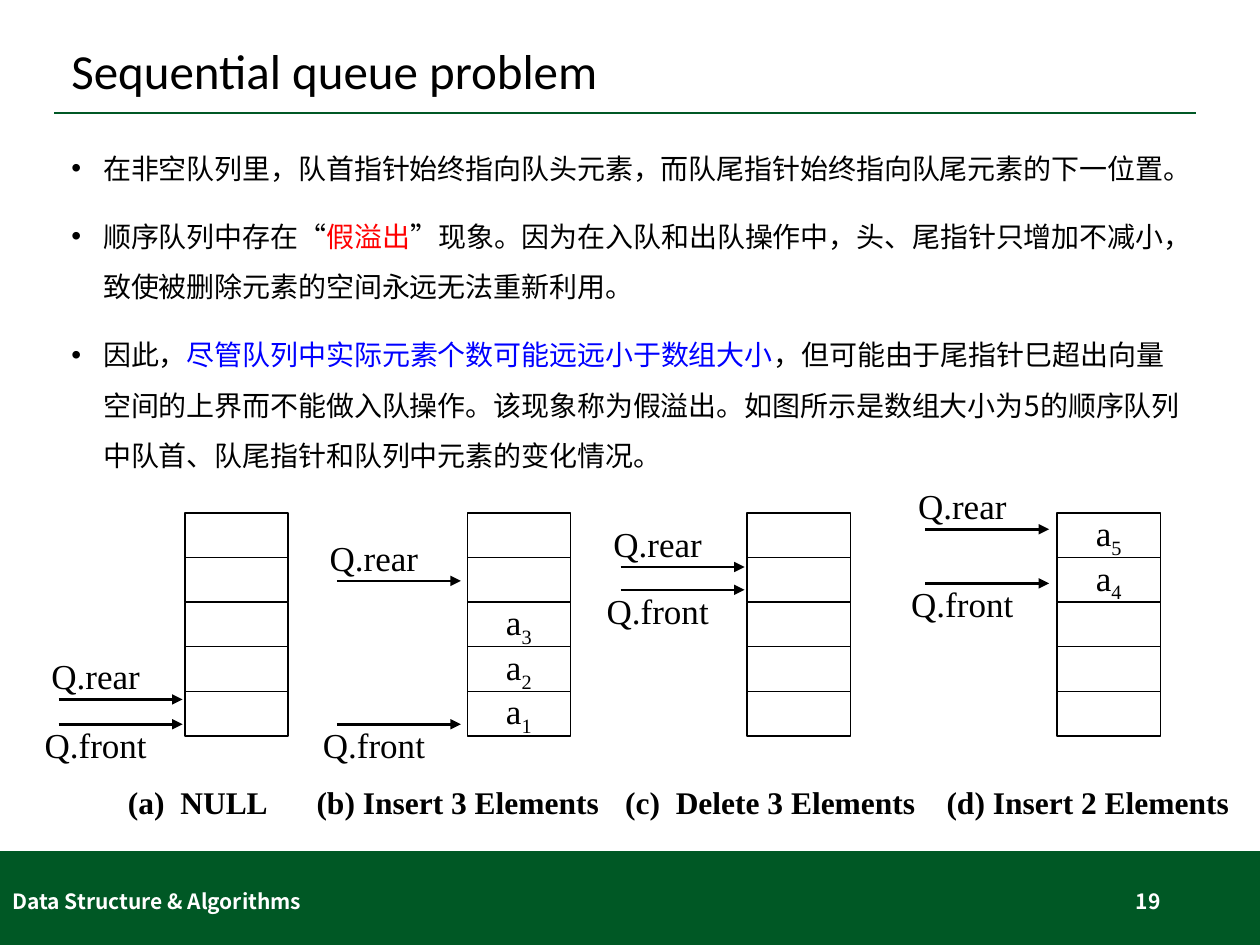
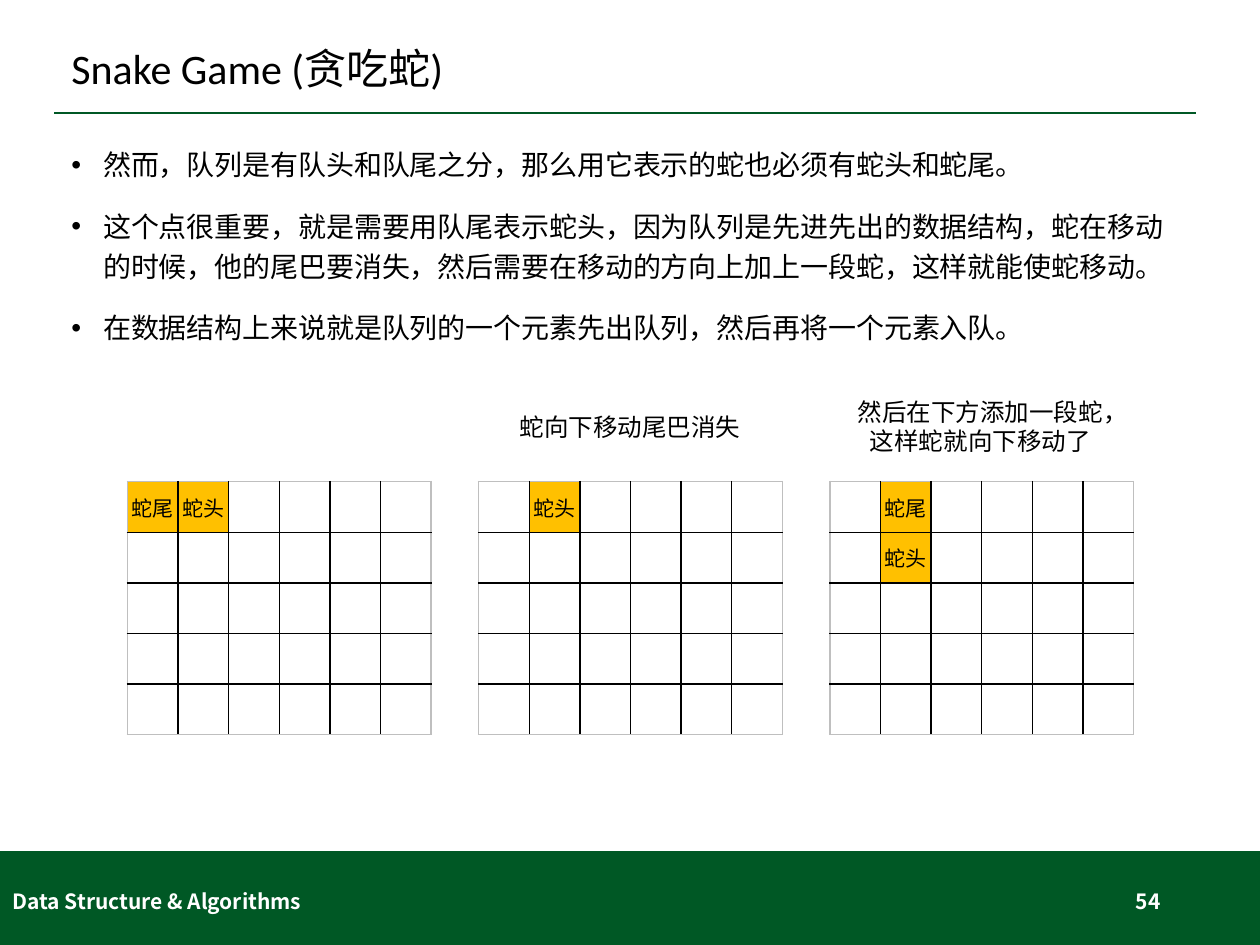
from lxml import etree
from pptx import Presentation
from pptx.dml.color import RGBColor
from pptx.enum import shapes, text
from pptx.oxml import ns
from pptx.util import Cm, Pt

GREEN, BLACK, WHITE = "005825", "000000", "FFFFFF"
RED, BLUE, GOLD, GREY = "FF0000", "0000FF", "FFC000", "BFBFBF"
SANS, LATIN, SERIF = "Noto Sans CJK SC", "Calibri", "Times New Roman"
LEFT, MID, RIGHT = text.PP_ALIGN.LEFT, text.PP_ALIGN.CENTER, text.PP_ALIGN.RIGHT
LEADING = 1.2  # height of a single line, in ems


def rgb(code):
    return RGBColor.from_string(code)


def sub(node, tag, **attrs):
    return etree.SubElement(node, ns.qn(tag), attrs)


def style(run, size, font=SANS, color=BLACK, bold=False):
    run.font.size, run.font.name, run.font.bold = Pt(size), font, bold
    run.font.color.rgb = rgb(color)
    sub(run.font._rPr, "a:ea", typeface=SANS)


def label(slide, words, box, size, font=SANS, color=BLACK, bold=False,
          align=LEFT):
    """Add a text box with one paragraph, centred vertically."""
    frame = slide.shapes.add_textbox(*map(Cm, box)).text_frame
    frame.word_wrap = True
    frame.vertical_anchor = text.MSO_ANCHOR.MIDDLE
    frame.text = words
    par = frame.paragraphs[0]
    par.alignment = align
    style(par.runs[0], size, font, color, bold)
    return par


def rect(slide, box, fill=None, edge=None):
    shape = slide.shapes.add_shape(shapes.MSO_SHAPE.RECTANGLE, *map(Cm, box))
    shape.shadow.inherit = False
    if fill:
        shape.fill.solid()
        shape.fill.fore_color.rgb = rgb(fill)
    else:
        shape.fill.background()
    if edge:
        shape.line.color.rgb = rgb(edge)
        shape.line.width = Pt(0.75)
    else:
        shape.line.fill.background()
    return shape


def rule(slide, x, y, width, color, weight, arrow=False):
    """Add a level line that runs right from x."""
    line = slide.shapes.add_connector(
        shapes.MSO_CONNECTOR.STRAIGHT, Cm(x), Cm(y), Cm(x + width), Cm(y))
    line.line.color.rgb = rgb(color)
    line.line.width = Pt(weight)
    if arrow:
        sub(line.line._get_or_add_ln(), "a:tailEnd", type="triangle")
    sub(line._element.spPr, "a:effectLst")


def bullets(slide, top, paras, lead, gap):
    """Add the body; each paragraph is a list of (words, colour)."""
    size = 16
    box = slide.shapes.add_textbox(Cm(1.19), Cm(top), Cm(23.01), Cm(14.1))
    frame = box.text_frame
    frame.word_wrap = True
    for i, parts in enumerate(paras):
        par = frame.add_paragraph() if i else frame.paragraphs[0]
        props = par._p.get_or_add_pPr()
        props.set("marL", str(Cm(0.64)))
        props.set("indent", str(-Cm(0.64)))
        sub(props, "a:buFont", typeface="Arial")
        sub(props, "a:buChar", char="•")
        par.line_spacing = Pt(size * LEADING * lead)
        if i:
            par.space_before = Pt(gap)
        for words, color in parts:
            run = par.add_run()
            run.text = words
            style(run, size, color=color)


def page(deck, title, size, number, lead=1.0):
    """Add a slide with the title, rule, band and footers."""
    slide = deck.slides.add_slide(deck.slide_layouts[6])
    rect(slide, (0, 17.16, 25.4, 1.89), GREEN)
    rule(slide, 1.09, 2.28, 23.01, GREEN, 1)
    par = label(slide, title, (1.19, 0.58, 23.01, 1.68), size, LATIN)
    par.line_spacing = lead
    label(slide, "Data Structure & Algorithms", (0, 17.65, 8.59, 1.02),
          12, color=WHITE, bold=True)
    label(slide, str(number), (17.93, 17.65, 5.72, 1.02),
          12, color=WHITE, bold=True, align=RIGHT)
    return slide


def queue(slide, left, items):
    """Draw five stacked cells; items maps a row to its subscript."""
    for row in range(5):
        cell = rect(slide, (left, 10.34 + 0.9 * row, 2.08, 0.9), edge=BLACK)
        if row not in items:
            continue
        frame = cell.text_frame
        frame.word_wrap = False
        frame.vertical_anchor = text.MSO_ANCHOR.MIDDLE
        par = frame.paragraphs[0]
        par.text = "a"
        par.alignment = MID
        par.add_run().text = items[row]
        for run in par.runs:
            style(run, 20, SERIF)
        par.runs[1].font._rPr.set("baseline", "-25000")


def pointers(slide, x, rear, front):
    """Draw the rear arrow with its name above, the front one below."""
    for name, y, shift in (("Q.rear", rear, -0.97), ("Q.front", front, -0.08)):
        rule(slide, x, y, 2.5, BLACK, 1.5, arrow=True)
        label(slide, name, (x - 0.75, y + shift, 3, 0.99), 20, SERIF,
              align=MID)


def border(cell, side, color):
    line = sub(cell._tc.get_or_add_tcPr(), "a:ln" + side, w=str(Pt(1)))
    sub(sub(line, "a:solidFill"), "a:srgbClr", val=color)


def board(slide, left, snake, rows=5, cols=6, step=1.02):
    """Draw the game grid; snake maps (row, column) to a name."""
    table = slide.shapes.add_table(
        rows, cols, Cm(left), Cm(9.71), Cm(cols * step), Cm(rows * step)).table
    table.first_row = table.horz_banding = False
    for col in table.columns:
        col.width = Cm(step)
    for r in range(rows):
        table.rows[r].height = Cm(step)
        for c in range(cols):
            cell = table.cell(r, c)
            outer = {"L": c == 0, "R": c == cols - 1,
                     "T": r == 0, "B": r == rows - 1}
            for side, edge in outer.items():
                border(cell, side, GREY if edge else BLACK)
            cell.margin_left = cell.margin_right = 0
            cell.margin_top = cell.margin_bottom = 0
            cell.vertical_anchor = text.MSO_ANCHOR.MIDDLE
            cell.fill.solid()
            cell.fill.fore_color.rgb = rgb(GOLD if (r, c) in snake else WHITE)
            if (r, c) in snake:
                par = cell.text_frame.paragraphs[0]
                par.text = snake[r, c]
                par.alignment = MID
                style(par.runs[0], 12, LATIN)


def overflow(deck):
    slide = page(deck, "Sequential queue problem", 28, 19)
    bullets(slide, 2.59, [
        [("在非空队列里，队首指针始终指向队头元素，而队尾指针始终指向队尾元素的下一位置。", BLACK)],
        [("顺序队列中存在“", BLACK), ("假溢出", RED),
         ("”现象。因为在入队和出队操作中，头、尾指针只增加不减小，"
          "致使被删除元素的空间永远无法重新利用。", BLACK)],
        [("因此，", BLACK), ("尽管队列中实际元素个数可能远远小于数组大小", BLUE),
         ("，但可能由于尾指针巳超出向量空间的上界而不能做入队操作。该现象称为假溢出。"
          "如图所示是数组大小为5的顺序队列中队首、队尾指针和队列中元素的变化情况。", BLACK)],
    ], 1.5, 10)
    # caption, its centre, cells' left, items, arrows' left, rear y, front y
    states = [
        ("(a)  NULL", 3.99, 3.73, {}, 1.18, 14.1, 14.6),
        ("(b) Insert 3 Elements", 9.23, 9.42, {2: "3", 3: "2", 4: "1"},
         6.79, 11.71, 14.6),
        ("(c)  Delete 3 Elements", 15.53, 15.06, {}, 12.51, 11.43, 11.89),
        ("(d) Insert 2 Elements", 21.93, 21.31, {0: "5", 1: "4"},
         18.65, 10.67, 11.76),
    ]
    for name, centre, left, items, x, rear, front in states:
        label(slide, name, (centre - 3.4, 15.67, 6.8, 0.99), 18, SERIF,
              bold=True, align=MID)
        queue(slide, left, items)
        pointers(slide, x, rear, front)


def game(deck):
    slide = page(deck, "Snake Game (贪吃蛇)", 24, 54, 0.9)
    bullets(slide, 2.72, [
        [("然而，队列是有队头和队尾之分，那么用它表示的蛇也必须有蛇头和蛇尾。", BLACK)],
        [("这个点很重要，就是需要用队尾表示蛇头，因为队列是先进先出的数据结构，"
          "蛇在移动的时候，他的尾巴要消失，然后需要在移动的方向上加上一段蛇，"
          "这样就能使蛇移动。", BLACK)],
        [("在数据结构上来说就是队列的一个元素先出队列，然后再将一个元素入队。", BLACK)],
    ], 1.2, 12)
    head, tail = "蛇头", "蛇尾"
    moves = [{(0, 0): tail, (0, 1): head}, {(0, 1): head},
             {(0, 1): tail, (1, 1): head}]
    for i, snake in enumerate(moves):
        board(slide, 2.57 + 7.08 * i, snake)
    notes = [("蛇向下移动尾巴消失", (9.53, 8.18, 6.35, 0.86)),
             ("然后在下方添加一段蛇，这样蛇就向下移动了", (17.02, 7.87, 5.49, 1.45))]
    for words, box in notes:
        par = label(slide, words, box, 14, align=MID)
        par.line_spacing = Pt(14 * LEADING)


def main():
    deck = Presentation()
    deck.slide_width, deck.slide_height = Cm(25.4), Cm(19.05)
    overflow(deck)
    game(deck)
    deck.save("out.pptx")


if __name__ == "__main__":
    main()
